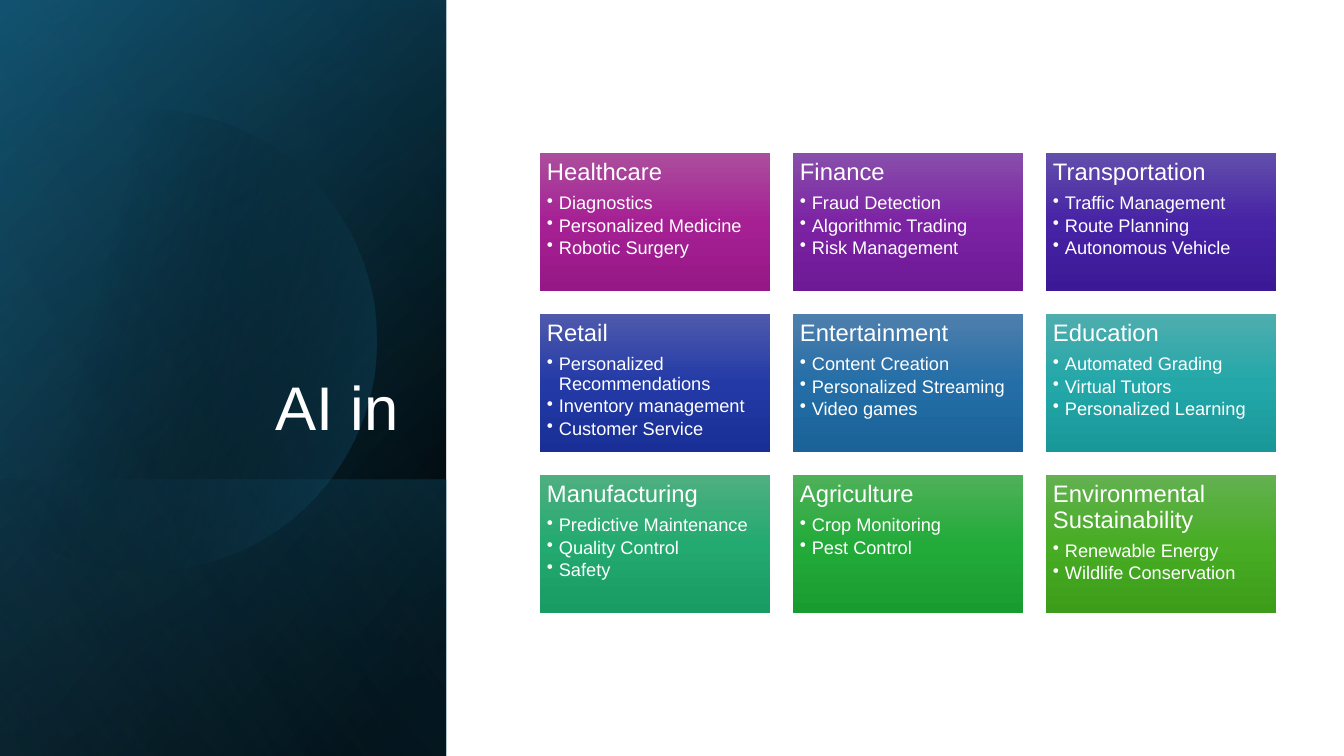
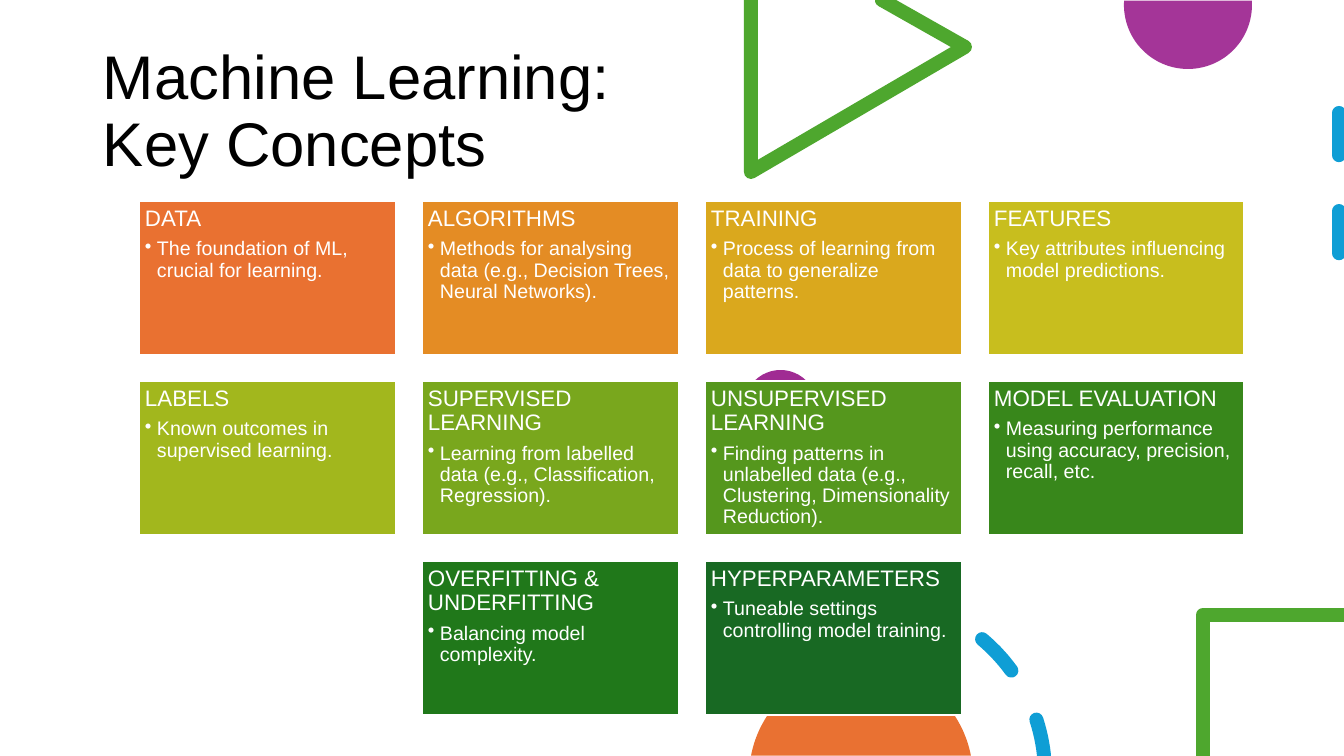
import math

from lxml import etree
from pptx import Presentation, util as u
from pptx.dml.color import RGBColor
from pptx.enum import dml, shapes, text
from pptx.oxml.ns import qn

PX = 12192000 / 1344
PAGE_W, PAGE_H = 1344, 756
FONT = "Arial"
STROKE = 10
COLOURS = {
    "white": "FFFFFF", "black": "000000", "teal": "156082", "deep": "0F4861",
    "sky": "43AFE2", "purple": "A02B93", "green": "4EA72E", "blue": "0F9ED5",
    "orange": "E97132",
}

SECTORS = [
    ("Healthcare", ["Diagnostics", "Personalized Medicine", "Robotic Surgery"],
     ("AB4E9D", "A62094", "961886")),
    ("Finance", ["Fraud Detection", "Algorithmic Trading", "Risk Management"],
     ("884FAA", "7C23A4", "6E1996")),
    ("Transportation", ["Traffic Management", "Route Planning", "Autonomous Vehicle"],
     ("624FAB", "4723A5", "3B1996")),
    ("Retail", ["Personalized Recommendations", "Inventory management", "Customer Service"],
     ("4F5AAC", "233AA6", "192F97")),
    ("Entertainment", ["Content Creation", "Personalized Streaming", "Video games"],
     ("4F7FAD", "246EA7", "1A6298")),
    ("Education", ["Automated Grading", "Virtual Tutors", "Personalized Learning"],
     ("4FADAE", "23A7A9", "1A9899")),
    ("Manufacturing", ["Predictive Maintenance", "Quality Control", "Safety"],
     ("4FAF81", "23AA70", "199B64")),
    ("Agriculture", ["Crop Monitoring", "Pest Control"],
     ("4FB05A", "23AB39", "199C2F")),
    ("Environmental Sustainability", ["Renewable Energy", "Wildlife Conservation"],
     ("63B150", "48AC24", "3D9D1A")),
]
CONCEPTS = [
    ("DATA", ["The foundation of ML, crucial for learning."], "E97131"),
    ("ALGORITHMS", ["Methods for analysing data (e.g., Decision Trees, Neural Networks)."],
     "E48C24"),
    ("TRAINING", ["Process of learning from data to generalize patterns."], "DAA81D"),
    ("FEATURES", ["Key attributes influencing model predictions."], "C8BE1E"),
    ("LABELS", ["Known outcomes in supervised learning."], "A2B71D"),
    ("SUPERVISED LEARNING",
     ["Learning from labelled data (e.g., Classification, Regression)."], "79A71D"),
    ("UNSUPERVISED LEARNING",
     ["Finding patterns in unlabelled data (e.g., Clustering, Dimensionality Reduction)."],
     "55971D"),
    ("MODEL EVALUATION",
     ["Measuring performance using accuracy, precision, recall, etc."], "38871B"),
    ("OVERFITTING & UNDERFITTING", ["Balancing model complexity."], "20778A"[:0] or "20781A"),
    ("HYPERPARAMETERS", ["Tuneable settings controlling model training."], "186923"),
]
SECTOR_GRID = {"left": 540, "top": 153, "width": 230, "height": 138, "gap": 23, "columns": 3,
               "inset": 7, "head": 17, "body": 13, "first": 6, "border": None}
CONCEPT_GRID = {"left": 139, "top": 201, "width": 257, "height": 154, "gap": 26, "columns": 4,
                "inset": 6, "head": 16, "body": 14, "first": 5.6, "border": 2}

# Each layer: left, top, width, height, gradient stops (position, colour, opacity), angle
PANEL = (0, 0, 446, 756)
PANEL_FOOT = (0, 480, 446, 276)
BASE = (PANEL, [(0, "black", 100), (8, "black", 100), (100, "deep", 100)], 50)
TINT = (PANEL, [(0, "black", 0), (99, "teal", 46), (100, "teal", 46)], 30)
FOOT = (PANEL_FOOT, [(0, "teal", 29), (2, "teal", 29), (100, "black", 30)], 130)
GLOW = (PANEL, [(0, "black", 0), (99, "sky", 11), (100, "sky", 11)], 120)
DISC_STOPS = [(0, "black", 0), (29, "black", 0), (100, "teal", 43)]


def px(*lengths):
    return [u.Emu(round(length * PX)) for length in lengths]


def rgb(colour):
    return RGBColor.from_string(COLOURS.get(colour, colour))


def set_opacity(colour_element, percent):
    if percent < 100:
        etree.SubElement(colour_element, qn("a:alpha"), val=str(percent * 1000))


def fill_solid(shape, colour, opacity=100):
    shape.fill.solid()
    shape.fill.fore_color.rgb = rgb(colour)
    set_opacity(shape._element.spPr.find(".//" + qn("a:srgbClr")), opacity)


def fill_gradient(shape, stops, angle):
    """Fill with (position, colour, opacity) stops; the angle runs clockwise."""
    shape.fill.gradient()
    gradient = shape._element.spPr.find(qn("a:gradFill"))
    stop_list = gradient.find(qn("a:gsLst"))
    for old in list(stop_list):
        stop_list.remove(old)
    for position, colour, opacity in stops:
        stop = etree.SubElement(stop_list, qn("a:gs"), pos=str(position * 1000))
        value = etree.SubElement(stop, qn("a:srgbClr"), val=COLOURS.get(colour, colour))
        set_opacity(value, opacity)
    gradient.find(qn("a:lin")).set("ang", str(angle * 60000))


def set_line(shape, colour=None, width=STROKE, round_cap=False):
    if colour is None:
        shape.line.fill.background()
        return
    shape.line.color.rgb = rgb(colour)
    shape.line.width = u.Pt(width)
    if round_cap:
        line = shape._element.spPr.find(qn("a:ln"))
        line.set("cap", "rnd")
        etree.SubElement(line, qn("a:round"))


def add_preset(page, kind, *frame):
    shape = page.shapes.add_shape(kind, *px(*frame))
    shape.shadow.inherit = False
    set_line(shape)
    return shape


def add_outline(page, points, close=True):
    points = [px(*point) for point in points]
    builder = page.shapes.build_freeform(*points[0], scale=1.0)
    builder.add_line_segments(points[1:], close=close)
    shape = builder.convert_to_shape()
    shape.shadow.inherit = False
    set_line(shape)
    return shape


def add_stroke(page, points, colour):
    shape = add_outline(page, points, close=False)
    shape.fill.background()
    set_line(shape, colour, round_cap=True)


def arc(x, y, radius, start, end):
    """Points on a circle, one about every two degrees, clockwise from the right."""
    steps = math.ceil((end - start) / 2)
    angles = [math.radians(start + (end - start) * i / steps) for i in range(steps + 1)]
    return [(x + radius * math.cos(a), y + radius * math.sin(a)) for a in angles]


def write(para, words, size, colour):
    para.line_spacing = 0.9
    span = para.add_run()
    span.text = words
    span.font.color.rgb = rgb(colour)
    for name, value in {"name": FONT, "size": u.Pt(size)}.items():
        setattr(span.font, name, value)


def set_frame(frame, anchor, side, edge):
    side, edge = px(side, edge)
    values = {"word_wrap": True, "vertical_anchor": anchor, "margin_left": side,
              "margin_right": side, "margin_top": edge, "margin_bottom": edge}
    for name, value in values.items():
        setattr(frame, name, value)


def add_title(page, words, frame, colour, anchor, align):
    box = page.shapes.add_textbox(*px(*frame))
    set_frame(box.text_frame, anchor, 10, 5)
    para = box.text_frame.paragraphs[0]
    para.alignment = align
    write(para, words, 44, colour)


def add_bullet(para, indent):
    properties = para._p.get_or_add_pPr()
    indent = px(indent)[0]
    properties.set("marL", str(indent))
    properties.set("indent", str(-indent))
    colour = etree.SubElement(properties, qn("a:buClr"))
    etree.SubElement(colour, qn("a:srgbClr"), val=COLOURS["white"])
    etree.SubElement(properties, qn("a:buChar"), char="•")


def add_cards(page, cards, grid):
    """Lay cards out row by row, centring a short last row."""
    columns, gap = grid["columns"], grid["gap"]
    step_x, step_y = grid["width"] + gap, grid["height"] + gap
    for index, (heading, points, fill) in enumerate(cards):
        row, column = divmod(index, columns)
        in_row = min(columns, len(cards) - row * columns)
        left = grid["left"] + (column + (columns - in_row) / 2) * step_x
        card = add_preset(page, shapes.MSO_SHAPE.RECTANGLE, left, grid["top"] + row * step_y,
                          grid["width"], grid["height"])
        if isinstance(fill, tuple):
            fill_gradient(card, [(i * 50, c, 100) for i, c in enumerate(fill)], 90)
        else:
            fill_solid(card, fill)
        if grid["border"]:
            set_line(card, "white", grid["border"])
        frame = card.text_frame
        set_frame(frame, text.MSO_ANCHOR.TOP, grid["inset"], grid["inset"])
        frame.paragraphs[0].alignment = text.PP_ALIGN.LEFT
        write(frame.paragraphs[0], heading, grid["head"], "white")
        for number, point in enumerate(points):
            para = frame.add_paragraph()
            para.alignment = text.PP_ALIGN.LEFT
            para.space_before = u.Pt(1.9 if number else grid["first"])
            add_bullet(para, 12)
            write(para, point, grid["body"], "white")


def add_layer(page, frame, stops, angle):
    """Cover the frame with a mirrored rectangle turned by a quarter."""
    left, top, width, height = frame
    shift = (width - height) / 2
    layer = add_preset(page, shapes.MSO_SHAPE.RECTANGLE,
                       left + shift, top - shift, height, width)
    layer.rotation = 90
    layer._element.spPr.find(qn("a:xfrm")).set("flipH", "1")
    fill_gradient(layer, stops, angle)


def build_sectors(page):
    for layer in (BASE, TINT, FOOT):
        add_layer(page, *layer)
    disc = add_outline(page, arc(146, 340, 230, -129, 129))
    fill_gradient(disc, DISC_STOPS, 14)
    add_layer(page, *GLOW)
    add_title(page, "AI in", (65, 185, 344, 264), "white",
              text.MSO_ANCHOR.BOTTOM, text.PP_ALIGN.RIGHT)
    add_cards(page, SECTORS, SECTOR_GRID)


def build_concepts(page):
    add_title(page, "Machine Learning: Key Concepts", (93, 40, 595, 146), "black",
              text.MSO_ANCHOR.MIDDLE, text.PP_ALIGN.LEFT)
    fill_solid(add_outline(page, arc(1188, 5, 64, -4, 184)), "purple", 95)
    ring = add_preset(page, shapes.MSO_SHAPE.OVAL, 751, 377, 59, 59)
    ring.fill.background()
    set_line(ring, "purple")
    add_stroke(page, [(751, 0), (751, 172), (965, 47), (882, 0)], "green")

    dashes = page.shapes.add_connector(shapes.MSO_CONNECTOR.STRAIGHT, *px(1339, 113, 1339, 289))
    dashes.line.dash_style = dml.MSO_LINE.DASH
    set_line(dashes, "blue", round_cap=True)
    etree.SubElement(dashes._element.spPr, qn("a:effectLst"))

    for start, end in ((-50, -36), (-18, -6)):
        add_stroke(page, arc(869, 774, 176, start, end), "blue")
    fill_solid(add_outline(page, arc(861, 777, 112, 191, 349)), "orange")
    add_stroke(page, [(PAGE_W, 615), (1203, 615), (1203, PAGE_H)], "green")
    add_cards(page, CONCEPTS, CONCEPT_GRID)


def main():
    deck = Presentation()
    deck.slide_width, deck.slide_height = px(PAGE_W, PAGE_H)
    for build in (build_sectors, build_concepts):
        build(deck.slides.add_slide(deck.slide_layouts[6]))
    deck.save("out.pptx")


if __name__ == "__main__":
    main()
